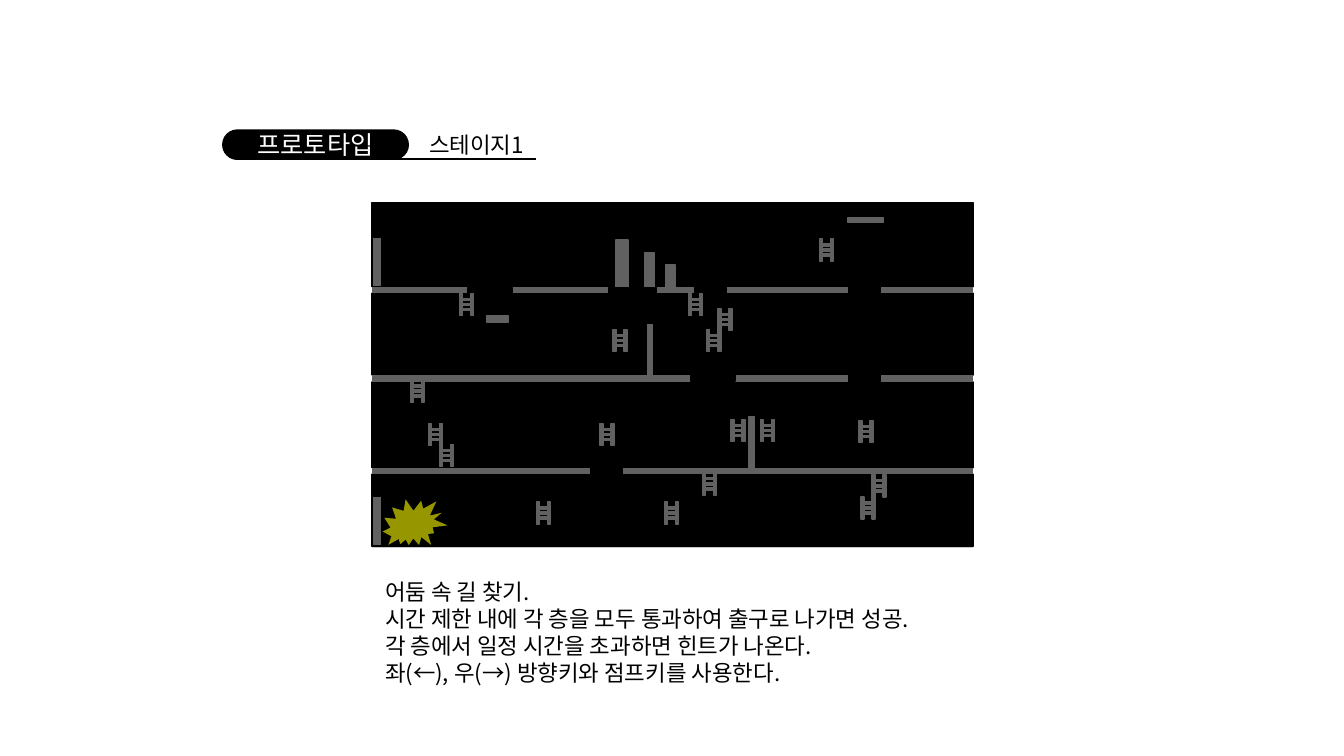
from lxml import etree
from pptx import Presentation
from pptx.dml.color import RGBColor
from pptx.enum.shapes import MSO_CONNECTOR, MSO_SHAPE
from pptx.enum.text import MSO_ANCHOR, MSO_AUTO_SIZE, PP_ALIGN
from pptx.oxml.ns import qn
from pptx.util import Inches, Pt

RECTANGLE = MSO_SHAPE.RECTANGLE
PILL = MSO_SHAPE.ROUNDED_RECTANGLE
BURST = MSO_SHAPE.EXPLOSION2
STRAIGHT = MSO_CONNECTOR.STRAIGHT
MIDDLE = MSO_ANCHOR.MIDDLE
GROW = MSO_AUTO_SIZE.SHAPE_TO_FIT_TEXT
CENTER = PP_ALIGN.CENTER

BLACK = RGBColor(0, 0, 0)
WHITE = RGBColor(255, 255, 255)
YELLOW = RGBColor(255, 255, 0)
FONT = "Noto Sans CJK KR"

# The slide is a grid of 1333 columns by 750 rows; areas are
# (left, top, width, height) in those cells.
CELL = Inches(0.01)
COLUMNS, ROWS = 1333, 750

STAGE_LEFT, STAGE_WIDTH = 369, 596
STAGE = (STAGE_LEFT, 201, STAGE_WIDTH, 341)
DARKNESS = (STAGE_LEFT, 202, STAGE_WIDTH, 341)
FLOOR_TOPS = (285, 373, 465)
DOOR_TOPS = (235, 492)
OBSTACLES = (
    (483, 313, 21, 7), (841, 216, 35, 5),
    (743, 413, 5, 52), (642, 322, 5, 52),
    (660, 263, 10, 25), (639, 251, 10, 35), (611, 238, 12, 47),
)
FLOOR_GAPS = (
    (464, 285, 44, 11), (685, 367, 44, 11),
    (842, 282, 31, 13), (586, 463, 31, 13), (842, 369, 31, 13),
    (689, 278, 31, 13), (604, 285, 47, 8),
)
LADDERS = (
    (532, 498), (659, 498), (854, 493), (865, 471), (697, 469),
    (456, 291), (701, 327), (852, 417), (754, 416), (608, 327),
    (725, 416), (712, 306), (595, 420), (813, 237), (436, 441),
    (425, 420), (407, 377), (683, 291),
)
RAIL_OFFSETS = (0, 11)
RUNG_OFFSETS = (0.5, 2, 1)
RUNG_STEP = 5

RULES = (
    "어둠 속 길 찾기.",
    "시간 제한 내에 각 층을 모두 통과하여 출구로 나가면 성공.",
    "각 층에서 일정 시간을 초과하면 힌트가 나온다.",
    "좌(←), 우(→) 방향키와 점프키를 사용한다.",
)


def cells(*counts):
    return [int(count * CELL) for count in counts]


def add_block(shapes, area, fill, line=None, kind=RECTANGLE, opacity=None):
    block = shapes.add_shape(kind, *cells(*area))
    block.shadow.inherit = False
    block.fill.solid()
    block.fill.fore_color.rgb = fill
    if opacity is not None:
        color = block.fill._xPr.find(".//" + qn("a:srgbClr"))
        etree.SubElement(color, qn("a:alpha"), val=str(opacity * 1000))
    if line is None:
        block.line.fill.background()
    else:
        block.line.color.rgb = line
        block.line.width = Pt(1)
    return block


def add_span(para, text, size, color):
    span = para.add_run()
    span.text = text
    span.font.size = Pt(size)
    span.font.name = FONT
    span.font.color.rgb = color
    etree.SubElement(span.font._element, qn("a:ea"), typeface=FONT)


def add_text(shapes, area, lines):
    box = shapes.add_textbox(*cells(*area))
    frame = box.text_frame
    frame.word_wrap = False
    frame.auto_size = GROW
    for index, line in enumerate(lines):
        para = frame.add_paragraph() if index else frame.paragraphs[0]
        add_span(para, line, 16, BLACK)


def add_header(page):
    shapes = page.shapes.add_group_shape().shapes
    pill = add_block(shapes, (221, 129, 184, 29), BLACK, BLACK, PILL)
    pill.adjustments[0] = 0.5
    pill.text_frame.vertical_anchor = MIDDLE
    para = pill.text_frame.paragraphs[0]
    para.alignment = CENTER
    add_span(para, "프로토타입", 18, WHITE)
    add_text(shapes, (416, 125, 122, 37), ["스테이지1"])
    rule = shapes.add_connector(STRAIGHT, *cells(234, 158, 532, 158))
    rule.line.color.rgb = BLACK
    rule.line.width = Pt(1.5)
    etree.SubElement(rule._element.spPr, qn("a:effectLst"))


def add_ladder(shapes, left, top):
    for offset in RAIL_OFFSETS:
        add_block(shapes, (left + offset, top, 3, 22), WHITE, WHITE)
    for number, offset in enumerate(RUNG_OFFSETS, start=1):
        rung_top = top + number * RUNG_STEP
        add_block(shapes, (left + offset, rung_top, 11, 2), WHITE, WHITE)


def add_stage(page):
    shapes = page.shapes.add_group_shape().shapes
    add_block(shapes, STAGE, BLACK, BLACK)
    for top in FLOOR_TOPS:
        add_block(shapes, (STAGE_LEFT, top, STAGE_WIDTH, 5), WHITE, WHITE)
    for top in DOOR_TOPS:
        add_block(shapes, (STAGE_LEFT, top, 10, 49), WHITE, BLACK)
    for area in OBSTACLES:
        add_block(shapes, area, WHITE, WHITE)
    for area in FLOOR_GAPS:
        add_block(shapes, area, BLACK, BLACK)
    for left, top in LADDERS:
        add_ladder(shapes, left, top)
    add_block(shapes, DARKNESS, BLACK, opacity=62)
    light = add_block(shapes, (381, 491, 61, 58), YELLOW, kind=BURST, opacity=59)
    light.rotation = 22.2


def main():
    deck = Presentation()
    deck.slide_width, deck.slide_height = cells(COLUMNS, ROWS)
    page = deck.slides.add_slide(deck.slide_layouts[6])
    add_header(page)
    add_stage(page)
    add_text(page.shapes, (372, 569, 612, 118), RULES)
    deck.save("out.pptx")


if __name__ == "__main__":
    main()
